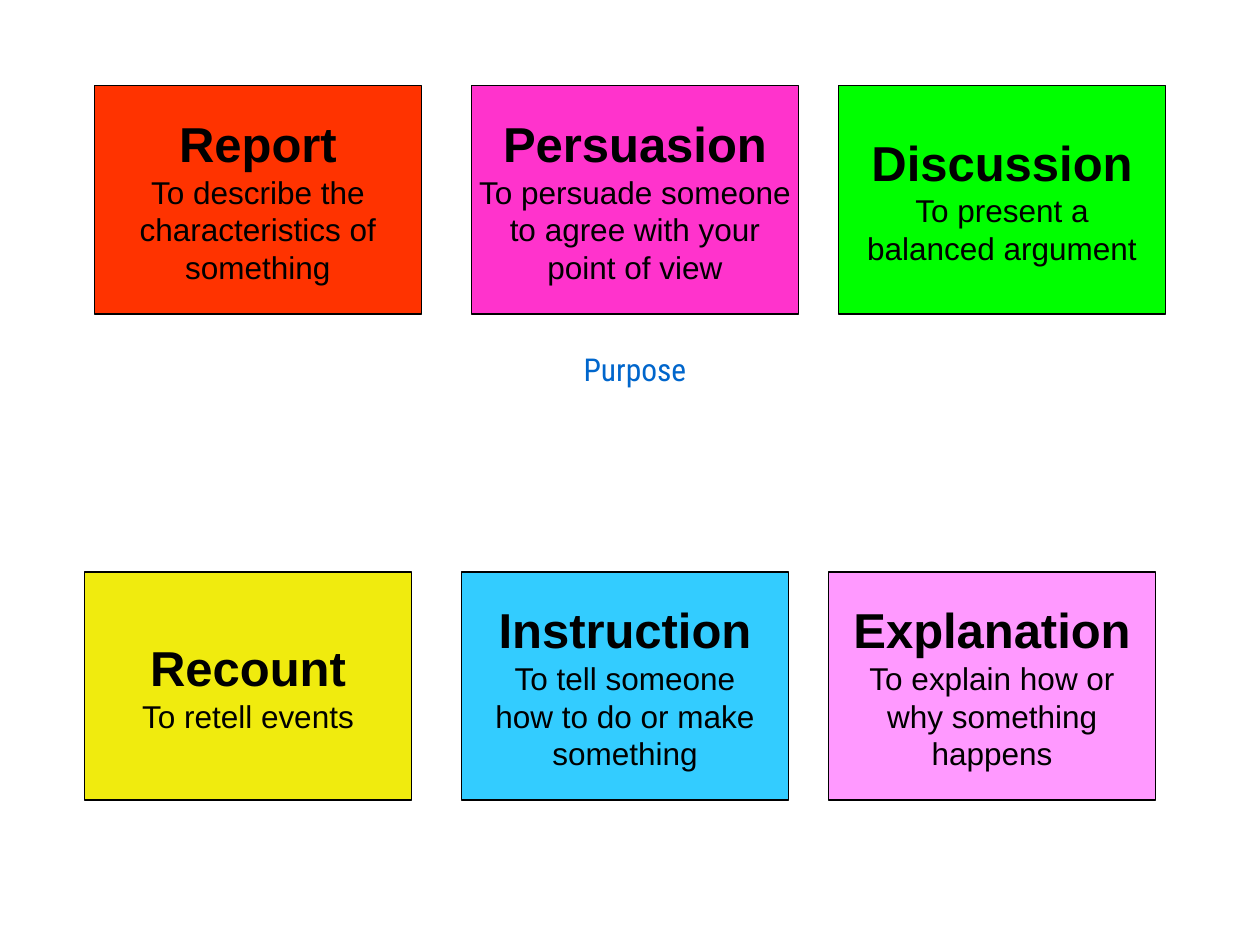
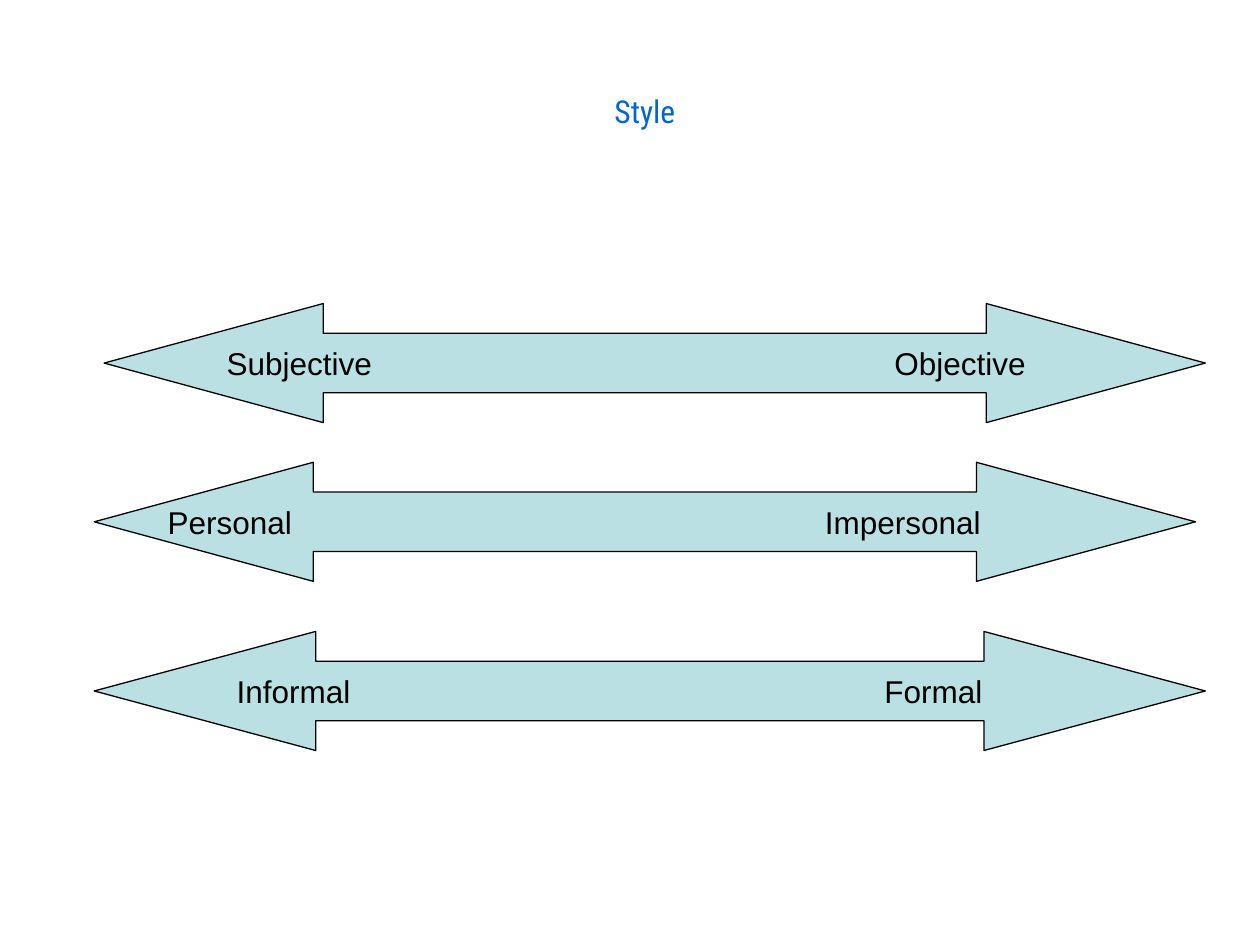
from dataclasses import dataclass

from pptx import Presentation
from pptx.dml.color import RGBColor as Color
from pptx.enum.shapes import MSO_SHAPE as Preset
from pptx.enum.text import MSO_ANCHOR as Anchor, PP_ALIGN as Align
from pptx.util import Cm, Pt


@dataclass(frozen=True)
class Theme:
    body_font: str = "Arial"
    title_font: str = "Roboto Condensed"
    ink: str = "000000"
    title: str = "0066CC"
    arrow: str = "BBE0E3"
    heading_size: int = 28
    text_size: int = 18
    line_width: float = 0.75


THEME = Theme()
BODY = {"name": THEME.body_font, "size": Pt(THEME.text_size), "bold": False}
HEADING = {**BODY, "size": Pt(THEME.heading_size), "bold": True}
TITLE = {**BODY, "name": THEME.title_font}

CARD_SIZE = (6.6, 4.6)
CARD_OFFSETS = (0, 7.6, 15)
CARD_ROWS = [
    ((1.9, 1.73), [
        ("FF3300", "Report", ["To describe the", "characteristics of", "something"]),
        ("FF33CC", "Persuasion", ["To persuade someone", "to agree with your", "point of view"]),
        ("00FF00", "Discussion", ["To present a", "balanced argument"]),
    ]),
    ((1.7, 11.53), [
        ("F0EB0E", "Recount", ["To retell events"]),
        ("33CCFF", "Instruction", ["To tell someone", "how to do or make", "something"]),
        ("FF99FF", "Explanation", ["To explain how or", "why something", "happens"]),
    ]),
]

ARROW_HEIGHT = 2.4
LABEL_WIDTH = 4.5
STYLE_SCALES = [
    ((2.1, 6.12, 22.2), 1.84, [("Subjective", 2.47), ("Objective", 15.93)]),
    ((1.9, 9.32, 22.2), 1.84, [("Personal", 1.48), ("Impersonal", 14.73)]),
    ((1.9, 12.73, 22.4), 1.86, [("Informal", 2.87), ("Formal", 15.93)]),
]


def set_values(target, values):
    for name, value in values.items():
        setattr(target, name, value)


def write_lines(shape, lines, color, align, frame_values):
    frame = shape.text_frame
    set_values(frame, frame_values)
    for index, (text, font_values) in enumerate(lines):
        paragraph = frame.add_paragraph() if index else frame.paragraphs[0]
        paragraph.alignment = align
        run = paragraph.add_run()
        run.text = text
        set_values(run.font, font_values)
        run.font.color.rgb = Color.from_string(color)


def add_outlined_shape(slide, preset, box, fill):
    shape = slide.shapes.add_shape(preset, *map(Cm, box))
    shape.shadow.inherit = False
    shape.fill.solid()
    shape.fill.fore_color.rgb = Color.from_string(fill)
    shape.line.color.rgb = Color.from_string(THEME.ink)
    shape.line.width = Pt(THEME.line_width)
    return shape


def add_title(slide, box, text):
    text_box = slide.shapes.add_textbox(*map(Cm, box))
    write_lines(text_box, [(text, TITLE)], THEME.title, Align.CENTER, {"word_wrap": True})


def add_card(slide, box, fill, heading, purpose):
    card = add_outlined_shape(slide, Preset.RECTANGLE, box, fill)
    lines = [(heading, HEADING)] + [(line, BODY) for line in purpose]
    write_lines(card, lines, THEME.ink, Align.CENTER,
                {"word_wrap": False, "vertical_anchor": Anchor.MIDDLE})


def add_card_row(slide, origin, cards):
    left, top = origin
    for offset, card in zip(CARD_OFFSETS, cards):
        add_card(slide, (left + offset, top, *CARD_SIZE), *card)


def add_style_scale(slide, box, head_ratio, labels):
    left, top, width = box
    arrow = add_outlined_shape(slide, Preset.LEFT_RIGHT_ARROW,
                               (left, top, width, ARROW_HEIGHT), THEME.arrow)
    arrow.adjustments[0] = 0.5
    arrow.adjustments[1] = head_ratio
    for text, offset in labels:
        label = slide.shapes.add_textbox(
            *map(Cm, (left + offset, top, LABEL_WIDTH, ARROW_HEIGHT)))
        write_lines(label, [(text, BODY)], THEME.ink, Align.LEFT,
                    {"word_wrap": True, "vertical_anchor": Anchor.MIDDLE, "margin_left": 0})


def build_purpose_slide(slide):
    for origin, cards in CARD_ROWS:
        add_card_row(slide, origin, cards)
    add_title(slide, (6.3, 6.93, 13, 3.8), "Purpose")


def build_style_slide(slide):
    add_title(slide, (9.3, 1.73, 7.4, 3.4), "Style")
    for scale in STYLE_SCALES:
        add_style_scale(slide, *scale)


def main():
    presentation = Presentation()
    set_values(presentation, {"slide_width": Cm(25.4), "slide_height": Cm(19.05)})
    blank_layout = presentation.slide_layouts[6]
    for build_slide in (build_purpose_slide, build_style_slide):
        build_slide(presentation.slides.add_slide(blank_layout))
    presentation.save("out.pptx")


if __name__ == "__main__":
    main()
